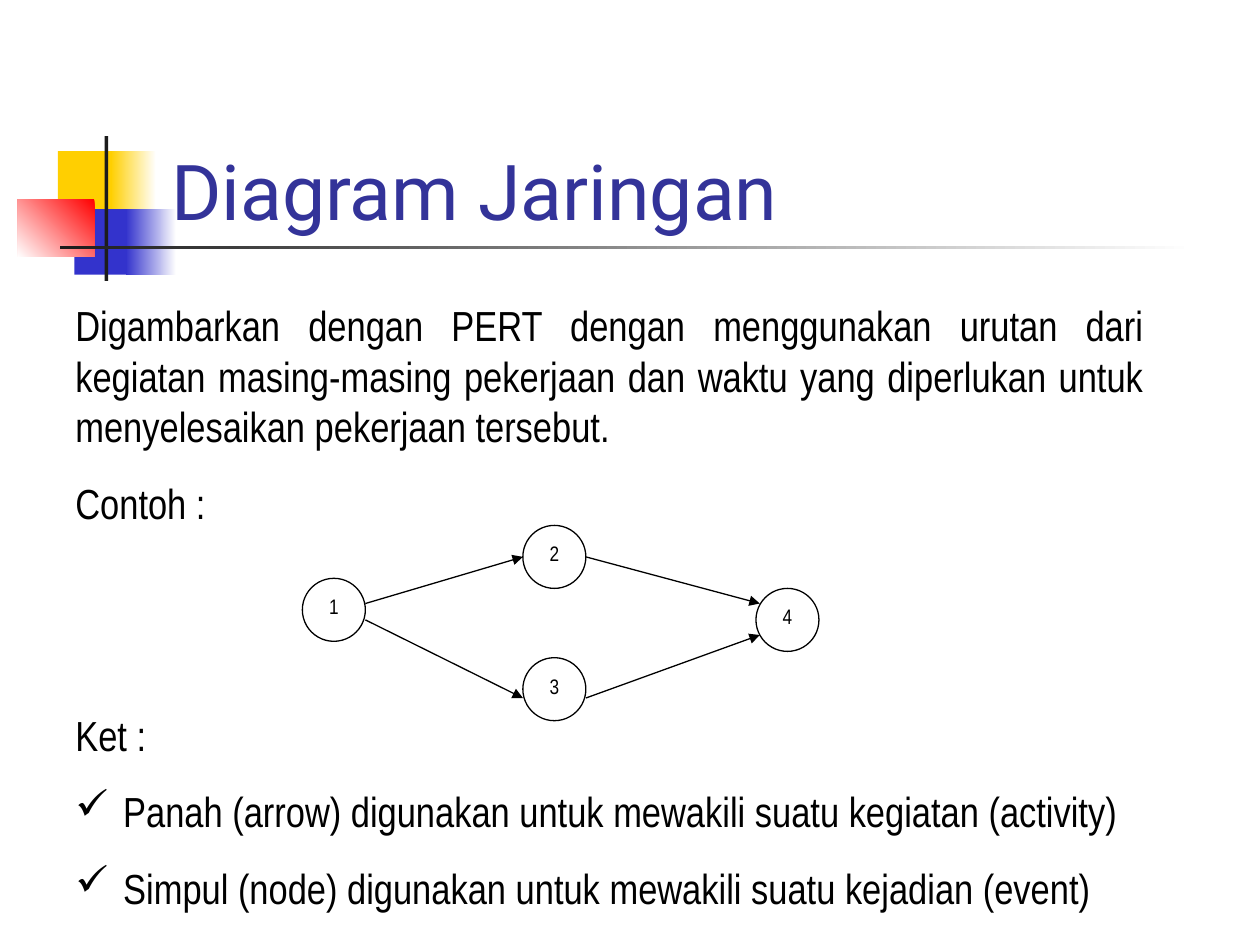
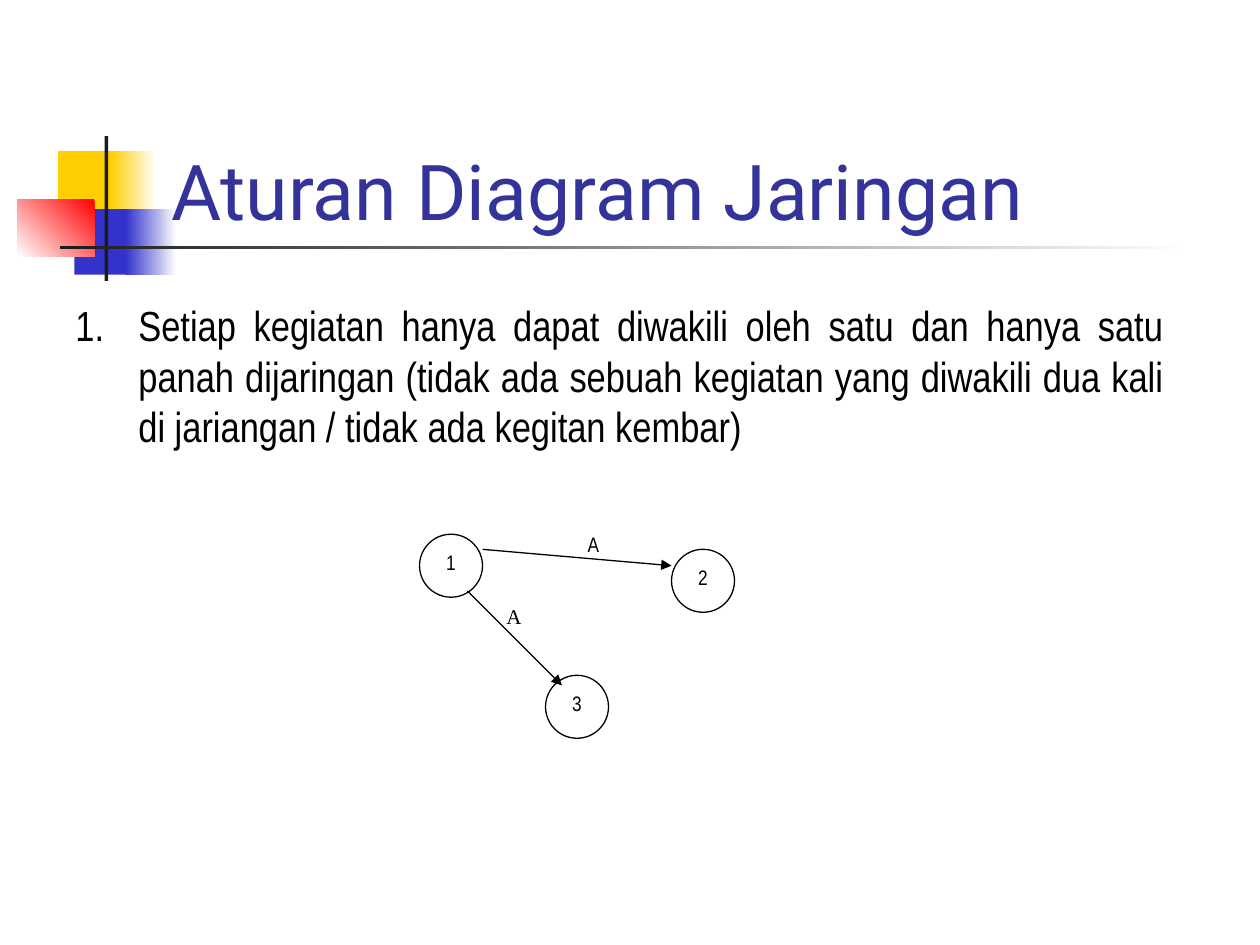
from lxml import etree
from pptx import Presentation, util as u
from pptx.dml.color import RGBColor
from pptx.enum import shapes, text
from pptx.oxml.ns import qn

# Scale: 100 px to the inch
PX = 9144

# Colours
WHITE = RGBColor(0xFF, 0xFF, 0xFF)
BLACK = RGBColor(0x00, 0x00, 0x00)
YELLOW = RGBColor(0xFF, 0xCF, 0x01)
BLUE = RGBColor(0x33, 0x33, 0xCC)
RED = RGBColor(0xFF, 0x00, 0x00)
DARK = RGBColor(0x1C, 0x1C, 0x1C)
TITLE = RGBColor(0x33, 0x33, 0x99)

# Fonts
TITLE_FONT = "Roboto"
BODY_FONT = "Arial Narrow"
SERIF_FONT = "Times New Roman"

NODE_SIZE = 50
CENTER = text.PP_ALIGN.CENTER
JUSTIFY = text.PP_ALIGN.JUSTIFY


def px(*lengths):
    return [u.Emu(length * PX) for length in lengths]


class Deck:
    """Holds the style and the current slide."""

    def __init__(self):
        self.presentation = Presentation()
        self.presentation.slide_width, self.presentation.slide_height = px(1000, 750)
        self.slide = None

    def add_slide(self, title):
        self.slide = self.presentation.slides.add_slide(self.presentation.slide_layouts[6])
        # Coloured blocks and bars
        self.block(46, 120, 48, 52, YELLOW)
        self.block(88, 120, 36, 52, WHITE, YELLOW)
        self.block(59, 166, 46, 52, BLUE)
        self.block(100, 166, 40, 52, WHITE, BLUE)
        self.block(14, 158, 61, 46, RED, WHITE, angle=225)
        self.block(83, 108, 3, 115, DARK)
        self.block(48, 195, 900, 3, WHITE, DARK)
        # Title
        frame = self.text_frame(126, 67, 852, 125)
        frame.vertical_anchor = text.MSO_ANCHOR.BOTTOM
        self.set_text(frame.paragraphs[0], title, 44, TITLE_FONT, TITLE)

    def block(self, left, top, width, height, color, end_color=None, angle=180):
        shape = self.slide.shapes.add_shape(
            shapes.MSO_SHAPE.RECTANGLE, *px(left, top, width, height))
        shape.shadow.inherit = False
        shape.line.fill.background()
        if end_color is None:
            shape.fill.solid()
            shape.fill.fore_color.rgb = color
        else:
            shape.fill.gradient()
            shape.fill.gradient_angle = angle
            for stop, stop_color in zip(shape.fill.gradient_stops, (color, end_color)):
                stop.color.rgb = stop_color

    def text_frame(self, left, top, width, height):
        box = self.slide.shapes.add_textbox(*px(left, top, width, height))
        box.text_frame.word_wrap = True
        return box.text_frame

    def set_text(self, paragraph, words, size, font=BODY_FONT, color=BLACK, align=None):
        paragraph.text = words
        paragraph.alignment = align
        paragraph.font.size = u.Pt(size)
        paragraph.font.name = font
        paragraph.font.color.rgb = color

    def bullet(self, paragraph, tag, **attributes):
        properties = paragraph._p.get_or_add_pPr()
        bullet_color = etree.SubElement(properties, qn("a:buClr"))
        etree.SubElement(bullet_color, qn("a:srgbClr"), val=str(BLACK))
        etree.SubElement(properties, qn(tag), **attributes)

    def body(self, left, top, width, height, lines, indent=0, marks=None):
        """Justified text; marks maps a line number to its bullet."""
        frame = self.text_frame(left, top, width, height)
        for number, line in enumerate(lines):
            paragraph = frame.add_paragraph() if number else frame.paragraphs[0]
            if indent:
                properties = paragraph._p.get_or_add_pPr()
                properties.set("marL", str(indent * PX))
                properties.set("indent", str(-indent * PX))
            if marks and number in marks:
                tag, attributes = marks[number]
                self.bullet(paragraph, tag, **attributes)
            if number:
                paragraph.space_before = u.Pt(15)
            self.set_text(paragraph, line, 24, align=JUSTIFY)

    def node(self, left, top, label):
        shape = self.slide.shapes.add_shape(
            shapes.MSO_SHAPE.OVAL, *px(left, top, NODE_SIZE, NODE_SIZE))
        shape.shadow.inherit = False
        shape.fill.solid()
        shape.fill.fore_color.rgb = WHITE
        shape.line.color.rgb = BLACK
        shape.line.width = u.Pt(0.75)
        shape.text_frame.vertical_anchor = text.MSO_ANCHOR.TOP
        self.set_text(shape.text_frame.paragraphs[0], label, 12, align=CENTER)

    def arrow(self, *ends):
        connector = self.slide.shapes.add_connector(
            shapes.MSO_CONNECTOR.STRAIGHT, *px(*ends))
        connector.line.color.rgb = BLACK
        connector.line.width = u.Pt(0.75)
        properties = connector._element.spPr
        etree.SubElement(properties.find(qn("a:ln")), qn("a:tailEnd"), type="triangle")
        etree.SubElement(properties, qn("a:effectLst"))

    def label(self, left, top, width, height, words, font=BODY_FONT):
        frame = self.text_frame(left, top, width, height)
        self.set_text(frame.paragraphs[0], words, 12, font, align=CENTER)

    def network(self, nodes, arrows):
        for node in nodes:
            self.node(*node)
        for arrow in arrows:
            self.arrow(*arrow)


def network_diagram(deck):
    deck.add_slide("Diagram Jaringan")
    deck.body(50, 233, 867, 191, [
        "Digambarkan dengan PERT dengan menggunakan urutan dari kegiatan "
        "masing-masing pekerjaan dan waktu yang diperlukan untuk "
        "menyelesaikan pekerjaan tersebut.",
        "Contoh :",
    ])
    deck.network(
        nodes=[(240, 459, "1"), (415, 417, "2"), (415, 522, "3"), (600, 467, "4")],
        arrows=[(290, 479, 415, 442), (290, 492, 415, 554),
                (465, 442, 603, 479), (465, 554, 603, 504)])
    check = ("a:buChar", {"char": "✓"})
    deck.body(50, 558, 900, 172, [
        "Ket :",
        "Panah (arrow) digunakan untuk mewakili suatu kegiatan (activity)",
        "Simpul (node) digunakan untuk mewakili suatu kejadian (event)",
    ], indent=38, marks={1: check, 2: check})


def diagram_rules(deck):
    deck.add_slide("Aturan Diagram Jaringan")
    deck.body(50, 233, 883, 130, [
        "Setiap kegiatan hanya dapat diwakili oleh satu dan hanya satu panah "
        "dijaringan (tidak ada sebuah kegiatan yang diwakili dua kali di "
        "jariangan / tidak ada kegitan kembar)",
    ], indent=50, marks={0: ("a:buAutoNum", {"type": "arabicPeriod"})})
    deck.network(
        nodes=[(333, 424, "1"), (533, 436, "2"), (433, 536, "3")],
        arrows=[(383, 436, 533, 449), (371, 469, 446, 544)])
    deck.label(446, 417, 50, 50, "A")
    deck.label(383, 474, 50, 63, "A", SERIF_FONT)


def main():
    deck = Deck()
    network_diagram(deck)
    diagram_rules(deck)
    deck.presentation.save("out.pptx")


if __name__ == "__main__":
    main()
